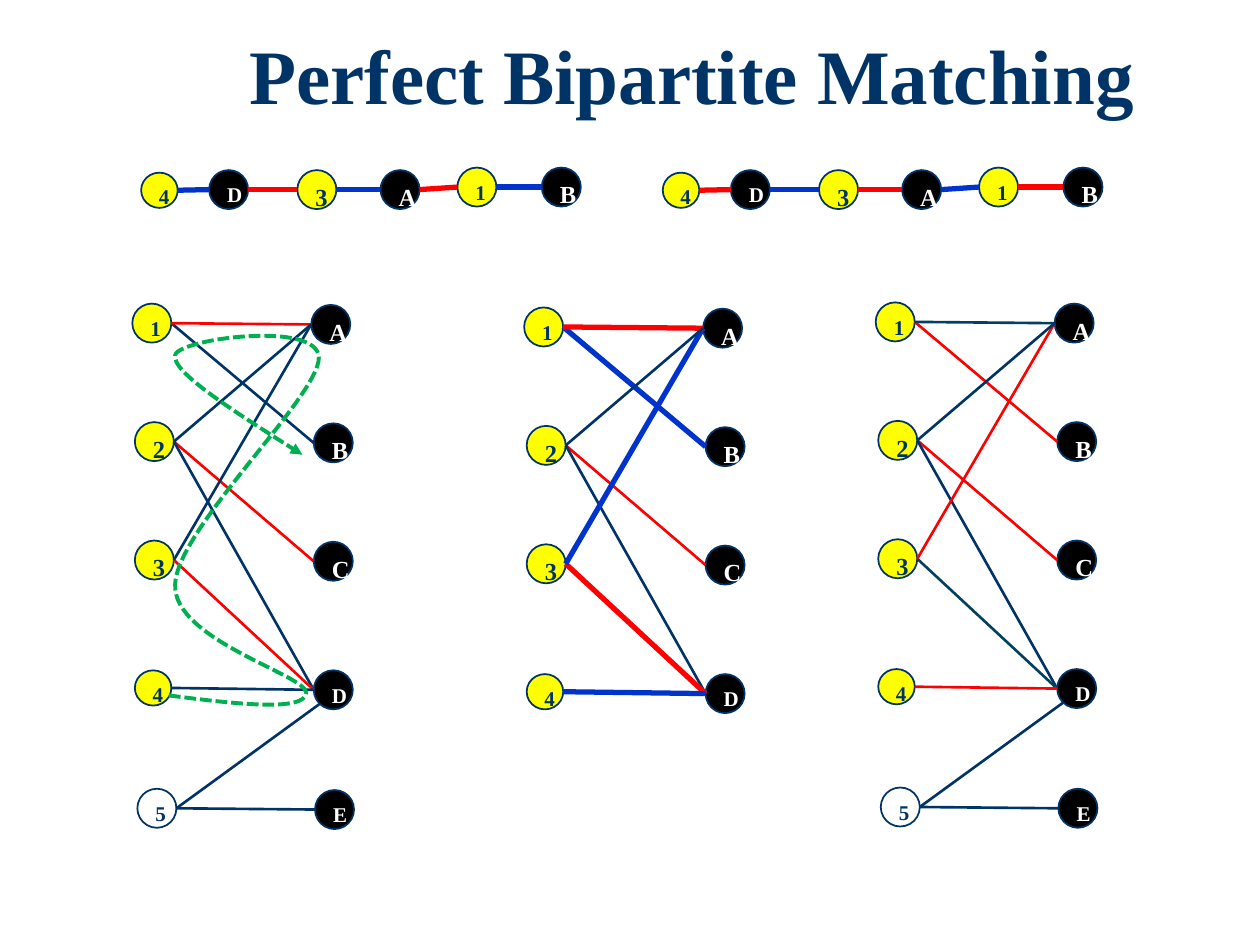
from typing import NamedTuple

from lxml import etree
from pptx import Presentation
from pptx.dml.color import RGBColor
from pptx.enum.dml import MSO_LINE
from pptx.enum.shapes import MSO_CONNECTOR, MSO_SHAPE
from pptx.enum.text import MSO_ANCHOR, PP_ALIGN
from pptx.oxml.ns import qn
from pptx.util import Inches, Pt

STRAIGHT = MSO_CONNECTOR.STRAIGHT
OVAL = MSO_SHAPE.OVAL
TOP, MIDDLE = MSO_ANCHOR.TOP, MSO_ANCHOR.MIDDLE
LEFT, CENTER = PP_ALIGN.LEFT, PP_ALIGN.CENTER
SQUARE_DASH = MSO_LINE.SQUARE_DOT

FONT = "Times New Roman"
COLORS = {
    "navy": "003366", "yellow": "FFFF00", "black": "000000", "white": "FFFFFF",
    "red": "FF0000", "blue": "0033CC", "teal": "004060", "green": "00B050",
}


class Vertex(NamedTuple):
    fill: str
    text: str
    size: int
    width: float = 0.31
    height: float = 0.31


class Edge(NamedTuple):
    ends: str  # left vertex, then right vertex
    color: str
    weight: float = 1.5


class Graph(NamedTuple):
    left: float
    top: float
    layout: dict[str, tuple[float, float]]
    edges: list[Edge]


VERTICES = {
    "1": Vertex("yellow", "navy", 12),
    "2": Vertex("yellow", "navy", 14),
    "3": Vertex("yellow", "navy", 14),
    "4": Vertex("yellow", "navy", 12, 0.29, 0.28),
    "5": Vertex("white", "navy", 12),
    "A": Vertex("black", "white", 14),
    "B": Vertex("black", "white", 14),
    "C": Vertex("black", "white", 14),
    "D": Vertex("black", "white", 12),
    "E": Vertex("black", "white", 12),
}

# Vertex offsets from the top left corner of each graph
CORE = {
    "1": (0, 0), "A": (1.42, 0.01),
    "2": (0.02, 0.94), "B": (1.44, 0.95),
    "3": (0.02, 1.88), "C": (1.44, 1.89),
    "4": (0.02, 2.91), "D": (1.44, 2.91),
}
FULL = CORE | {"5": (0.04, 3.85), "E": (1.45, 3.86)}
CHAIN = {
    "4": (0, 0.04), "D": (0.54, 0.02), "3": (1.24, 0.02),
    "A": (1.9, 0.02), "1": (2.51, 0), "B": (3.18, 0),
}
CHAIN_LINKS = ("4D", "D3", "3A", "A1", "1B")


def chain_edges(first: str, second: str) -> list[Edge]:
    """Colour the links of the path alternately."""
    return [Edge(ends, (first, second)[i % 2], 3) for i, ends in enumerate(CHAIN_LINKS)]


INITIAL = Graph(1.05, 2.41, FULL, [
    Edge("1B", "navy"), Edge("2C", "red"), Edge("2D", "navy"), Edge("3D", "red"),
    Edge("3A", "navy"), Edge("4D", "navy"), Edge("5D", "navy"), Edge("5E", "navy"),
    Edge("1A", "red"), Edge("2A", "navy"),
])
HIGHLIGHTED = Graph(4.16, 2.44, CORE, [
    Edge("1B", "blue", 3), Edge("2C", "red"), Edge("2D", "navy"), Edge("3D", "red", 3),
    Edge("3A", "blue", 3), Edge("4D", "blue", 3), Edge("1A", "red", 3), Edge("2A", "navy"),
])
AUGMENTED = Graph(6.95, 2.4, FULL, [
    Edge("1B", "red"), Edge("2C", "red"), Edge("2D", "navy"), Edge("3D", "teal"),
    Edge("3A", "red"), Edge("4D", "red"), Edge("5D", "navy"), Edge("5E", "navy"),
    Edge("1A", "teal"), Edge("2A", "navy"),
])
PATH_BEFORE = Graph(1.12, 1.33, CHAIN, chain_edges("blue", "red"))
PATH_AFTER = Graph(5.26, 1.33, CHAIN, chain_edges("red", "blue"))

# Augmenting path 4-D-3-A-1-B: start, then cubic curves (control, control, end)
ROUTE_START = (1.34, 5.52)
ROUTE_CURVES = [
    ((1.88, 5.59), (2.42, 5.65), (2.43, 5.5)),
    ((2.44, 5.36), (1.37, 5.08), (1.39, 4.64)),
    ((1.4, 4.2), (2.53, 3.15), (2.53, 2.84)),
    ((2.53, 2.54), (1.41, 2.69), (1.39, 2.82)),
    ((1.36, 2.95), (1.88, 3.28), (2.4, 3.61)),
]
ROUTE_BOUNDS = [(1.34, 2.66), (2.53, 2.66), (2.53, 5.59), (1.34, 5.59)]


def rgb(name: str) -> RGBColor:
    return RGBColor.from_string(COLORS[name])


def style_text(paragraph, size: int, color: str, alignment) -> None:
    paragraph.alignment = alignment
    font = paragraph.font
    font.name, font.size, font.bold = FONT, Pt(size), True
    font.color.rgb = rgb(color)


def style_line(line, color: str, weight: float) -> None:
    line.color.rgb = rgb(color)
    line.width = Pt(weight)


def add_title(shapes, text: str) -> None:
    title = shapes.add_textbox(Inches(1.57), Inches(0.21), Inches(8), Inches(0.92))
    frame = title.text_frame
    frame.word_wrap = True
    frame.vertical_anchor = MIDDLE
    frame.margin_bottom = Inches(0.13)
    paragraph = frame.paragraphs[0]
    paragraph.text = text
    paragraph.line_spacing = 0.9
    style_text(paragraph, 44, "navy", CENTER)


def add_vertex(shapes, label: str, left: float, top: float) -> None:
    vertex = VERTICES[label]
    circle = shapes.add_shape(OVAL, Inches(left), Inches(top),
                              Inches(vertex.width), Inches(vertex.height))
    circle.shadow.inherit = False
    circle.fill.solid()
    circle.fill.fore_color.rgb = rgb(vertex.fill)
    style_line(circle.line, "navy", 1)
    frame = circle.text_frame
    frame.word_wrap = False
    frame.vertical_anchor = TOP
    frame.paragraphs[0].text = label
    style_text(frame.paragraphs[0], vertex.size, vertex.text, LEFT)


def add_edge(shapes, graph: Graph, edge: Edge) -> None:
    """Join the right side of one vertex to the left side of the next."""
    start, end = edge.ends
    (x1, y1), (x2, y2) = graph.layout[start], graph.layout[end]
    x1 += VERTICES[start].width
    y1 += VERTICES[start].height / 2
    y2 += VERTICES[end].height / 2
    if edge.ends == "5D":  # meets the lower left of the circle
        x2 += 0.05
        y2 += 0.11
    connector = shapes.add_connector(
        STRAIGHT, Inches(graph.left + x1), Inches(graph.top + y1),
        Inches(graph.left + x2), Inches(graph.top + y2))
    style_line(connector.line, edge.color, edge.weight)
    etree.SubElement(connector._element.spPr, qn("a:effectLst"))


def add_graph(shapes, graph: Graph) -> None:
    for label, (x, y) in graph.layout.items():
        add_vertex(shapes, label, graph.left + x, graph.top + y)
    for edge in graph.edges:
        add_edge(shapes, graph, edge)


def add_route(shapes) -> None:
    """Draw the dashed arrow as curves inside a freeform of the route's bounds."""
    corners = [(Inches(x), Inches(y)) for x, y in ROUTE_BOUNDS]
    builder = shapes.build_freeform(*corners[0])
    builder.add_line_segments(corners[1:], close=False)
    route = builder.convert_to_shape()
    outline = route._element.spPr.find(".//" + qn("a:path"))
    for segment in list(outline):
        outline.remove(segment)
    commands = [("a:moveTo", [ROUTE_START])]
    commands += [("a:cubicBezTo", curve) for curve in ROUTE_CURVES]
    for tag, points in commands:
        command = etree.SubElement(outline, qn(tag))
        for x, y in points:
            etree.SubElement(command, qn("a:pt"), x=str(Inches(x) - route.left),
                             y=str(Inches(y) - route.top))
    route.shadow.inherit = False
    route.fill.background()
    style_line(route.line, "green", 2.25)
    route.line.dash_style = SQUARE_DASH
    etree.SubElement(route.line._get_or_add_ln(), qn("a:tailEnd"), type="triangle")


def main() -> None:
    presentation = Presentation()
    presentation.slide_width, presentation.slide_height = Inches(10), Inches(7.5)
    shapes = presentation.slides.add_slide(presentation.slide_layouts[6]).shapes
    add_title(shapes, "Perfect Bipartite Matching ")
    add_graph(shapes, INITIAL)
    add_route(shapes)
    for graph in (HIGHLIGHTED, PATH_BEFORE, PATH_AFTER, AUGMENTED):
        add_graph(shapes, graph)
    presentation.save("out.pptx")


if __name__ == "__main__":
    main()
